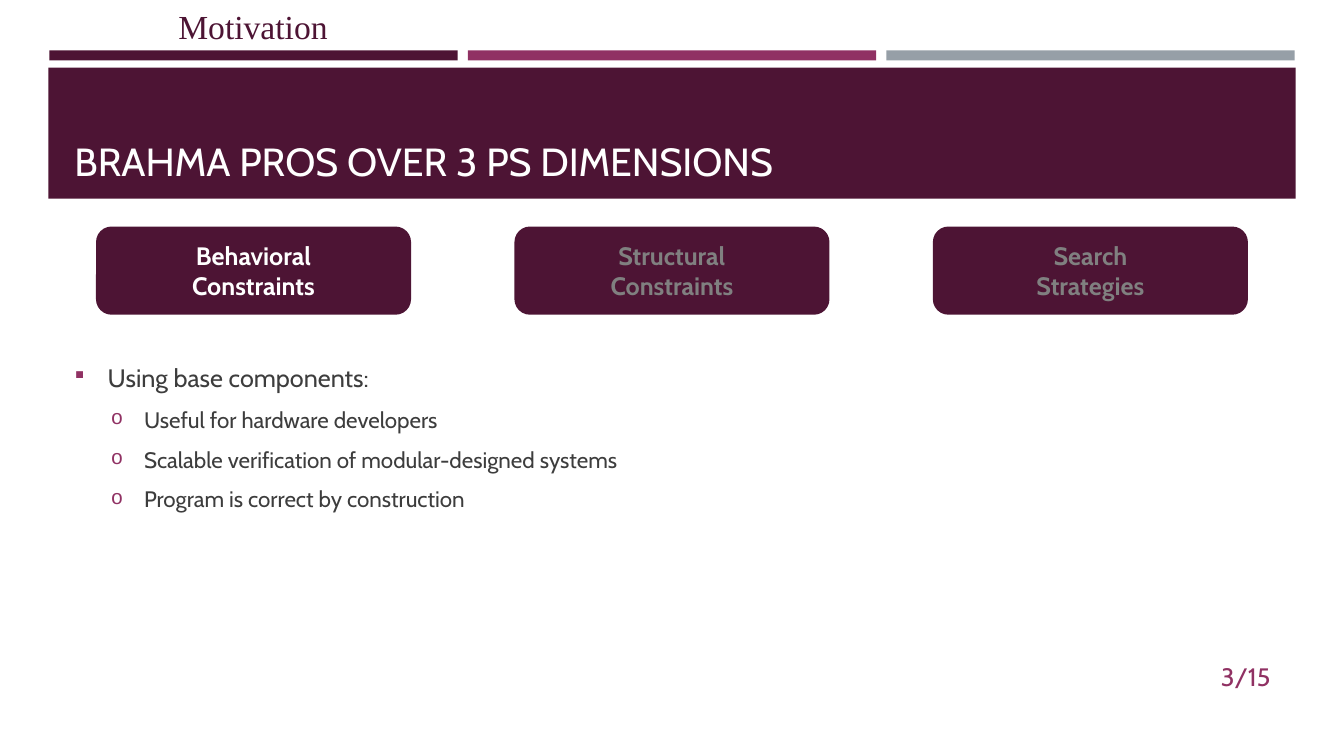
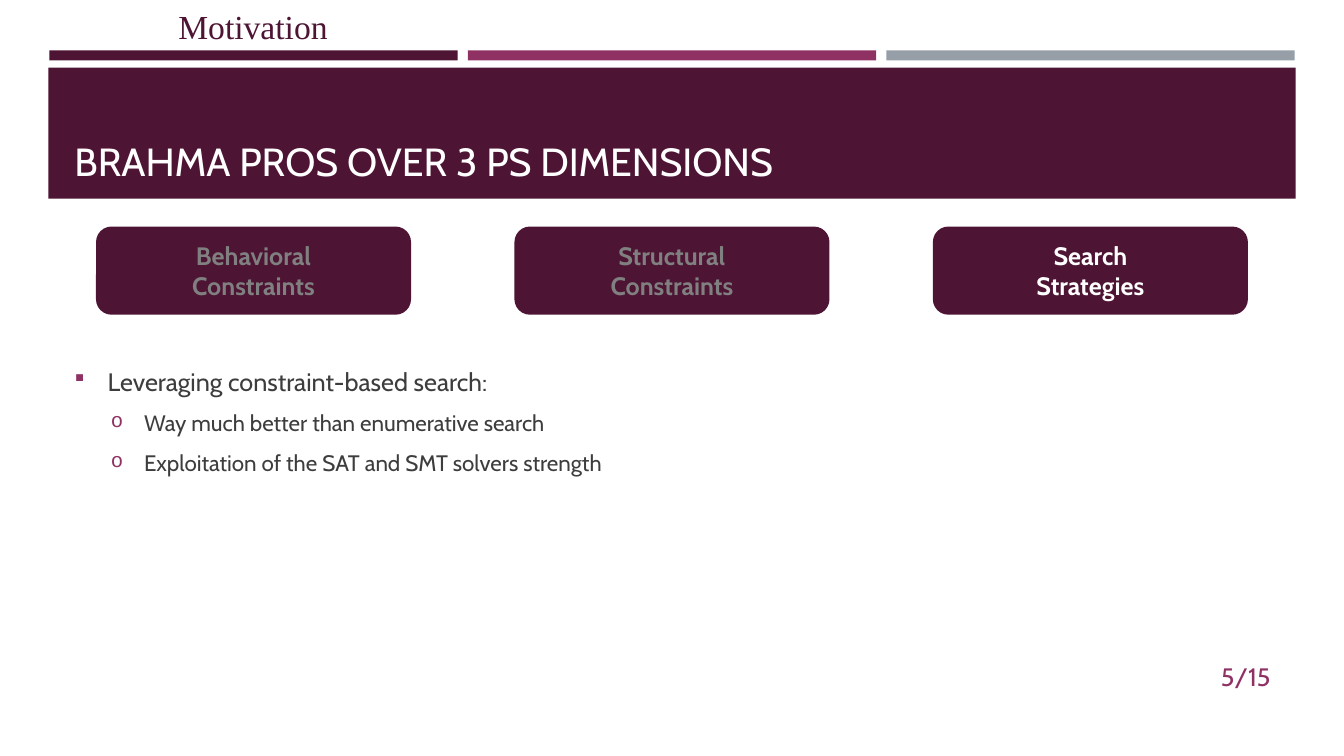
from dataclasses import dataclass

from lxml.etree import SubElement
from pptx import Presentation
from pptx.dml.color import RGBColor as Rgb
from pptx.enum.shapes import MSO_SHAPE as Preset
from pptx.enum.text import MSO_ANCHOR as Anchor, PP_ALIGN as Align
from pptx.oxml.ns import qn
from pptx.util import Inches, Pt

SECTION = "Motivation"
TITLE = "BRAHMA PROS OVER 3 PS DIMENSIONS"
TOTAL = 15
DIMENSIONS = [
    ("Behavioral", "Constraints"),
    ("Structural", "Constraints"),
    ("Search", "Strategies"),
]
SLIDES = [
    {
        "number": 3,
        "active": 0,
        "body": (3.28, 2.12),
        "points": [
            (0, "Using base components:"),
            (1, "Useful for hardware developers"),
            (1, "Scalable verification of modular-designed systems"),
            (1, "Program is correct by construction"),
        ],
    },
    {
        "number": 5,
        "active": 2,
        "body": (3.41, 1.53),
        "points": [
            (0, "Leveraging constraint-based search:"),
            (1, "Way much better than enumerative search"),
            (1, "Exploitation of the SAT and SMT solvers strength"),
        ],
    },
]


@dataclass(frozen=True)
class Theme:
    plum: str = "4D1434"
    magenta: str = "903163"
    gray: str = "969FA7"
    white: str = "FFFFFF"
    muted: str = "808080"
    ink: str = "3D3D3D"
    font: str = "Cabin"
    section_font: str = "Times New Roman"
    title_size: int = 28
    section_size: int = 24
    text_size: int = 18
    sub_size: int = 16


THEME = Theme()
BANDS = [THEME.plum, THEME.magenta, THEME.gray]
LEFT, COLUMN, GAP = 0.49, 4.05, 0.1
TEXT_LEFT, TEXT_WIDTH = 0.64, 12.06
CHIP_TOP, CHIP_WIDTH, CHIP_HEIGHT = 2.26, 3.1, 0.85
LEVELS = [
    {"size": THEME.text_size, "indent": 0.33, "mark": "§", "face": "Wingdings"},
    {"size": THEME.sub_size, "indent": 0.69, "mark": "o", "face": "Courier New"},
]
HANGING = 0.33


def column_left(index):
    return LEFT + index * (COLUMN + GAP)


def add_block(page, area, fill, preset=Preset.RECTANGLE, line=None):
    block = page.shapes.add_shape(preset, *map(Inches, area))
    block.shadow.inherit = False
    block.fill.solid()
    block.fill.fore_color.rgb = Rgb.from_string(fill)
    if line:
        block.line.color.rgb = Rgb.from_string(fill)
        block.line.width = Pt(line)
    else:
        block.line.fill.background()
    return block


def add_box(page, area, anchor=Anchor.MIDDLE):
    frame = page.shapes.add_textbox(*map(Inches, area)).text_frame
    frame.word_wrap = True
    frame.vertical_anchor = anchor
    return frame


def write(para, text, size, color, font=THEME.font, align=Align.LEFT, bold=False):
    para.alignment = align
    span = para.add_run()
    span.text = text
    span.font.size = Pt(size)
    span.font.name = font
    span.font.bold = bold
    span.font.color.rgb = Rgb.from_string(color)


def paragraphs(frame, items):
    for index, item in enumerate(items):
        yield frame.add_paragraph() if index else frame.paragraphs[0], item


def add_bullet(para, level):
    style = LEVELS[level]
    para.level = level
    para.space_before = Pt(style["size"] * 0.2)
    para.space_after = Pt(6)
    props = para._p.get_or_add_pPr()
    props.set("marL", str(Inches(style["indent"])))
    props.set("indent", str(-Inches(HANGING)))
    color = SubElement(props, qn("a:buClr"))
    SubElement(color, qn("a:srgbClr"), val=THEME.magenta)
    SubElement(props, qn("a:buSzPct"), val="92000")
    SubElement(props, qn("a:buFont"), typeface=style["face"])
    SubElement(props, qn("a:buChar"), char=style["mark"])


def add_frame(page, number):
    for index, color in enumerate(BANDS):
        add_block(page, (column_left(index), 0.5, COLUMN, 0.1), color)
    add_block(page, (0.48, 0.67, 12.37, 1.3), THEME.plum)
    title = add_box(page, (TEXT_LEFT, 0.77, TEXT_WIDTH, 1.11), Anchor.BOTTOM)
    write(title.paragraphs[0], TITLE, THEME.title_size, THEME.white)
    section = add_box(page, (1.33, 0.01, 2.36, 0.5), Anchor.TOP)
    write(section.paragraphs[0], SECTION, THEME.section_size, THEME.plum,
          THEME.section_font, Align.CENTER)
    footer = add_box(page, (11.55, 6.51, 1.15, 0.4))
    write(footer.paragraphs[0], f"{number}/{TOTAL}", THEME.text_size,
          THEME.magenta, align=Align.RIGHT)


def add_dimensions(page, active):
    for index, words in enumerate(DIMENSIONS):
        left = column_left(index) + (COLUMN - CHIP_WIDTH) / 2
        chip = add_block(page, (left, CHIP_TOP, CHIP_WIDTH, CHIP_HEIGHT),
                         THEME.plum, Preset.ROUNDED_RECTANGLE, 1.75)
        frame = chip.text_frame
        frame.vertical_anchor = Anchor.MIDDLE
        color = THEME.white if index == active else THEME.muted
        for para, word in paragraphs(frame, words):
            write(para, word, THEME.text_size, color, align=Align.CENTER, bold=True)


def add_points(page, body, points):
    top, height = body
    frame = add_box(page, (TEXT_LEFT, top, TEXT_WIDTH, height))
    for para, (level, text) in paragraphs(frame, points):
        add_bullet(para, level)
        write(para, text, LEVELS[level]["size"], THEME.ink)


def main():
    deck = Presentation()
    deck.slide_width, deck.slide_height = Inches(13.33), Inches(7.5)
    for content in SLIDES:
        page = deck.slides.add_slide(deck.slide_layouts[6])
        add_frame(page, content["number"])
        add_dimensions(page, content["active"])
        add_points(page, content["body"], content["points"])
    deck.save("out.pptx")


if __name__ == "__main__":
    main()
